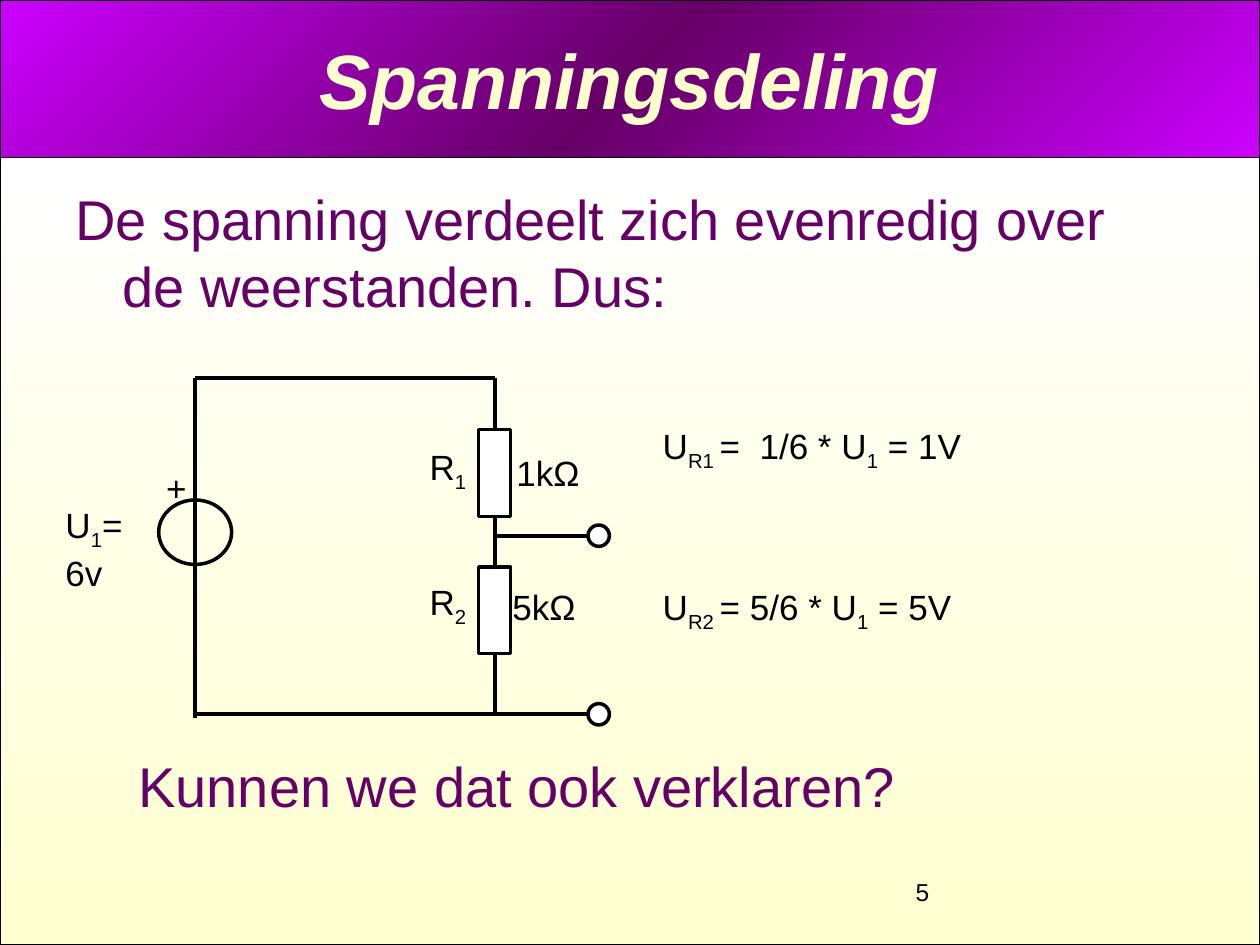
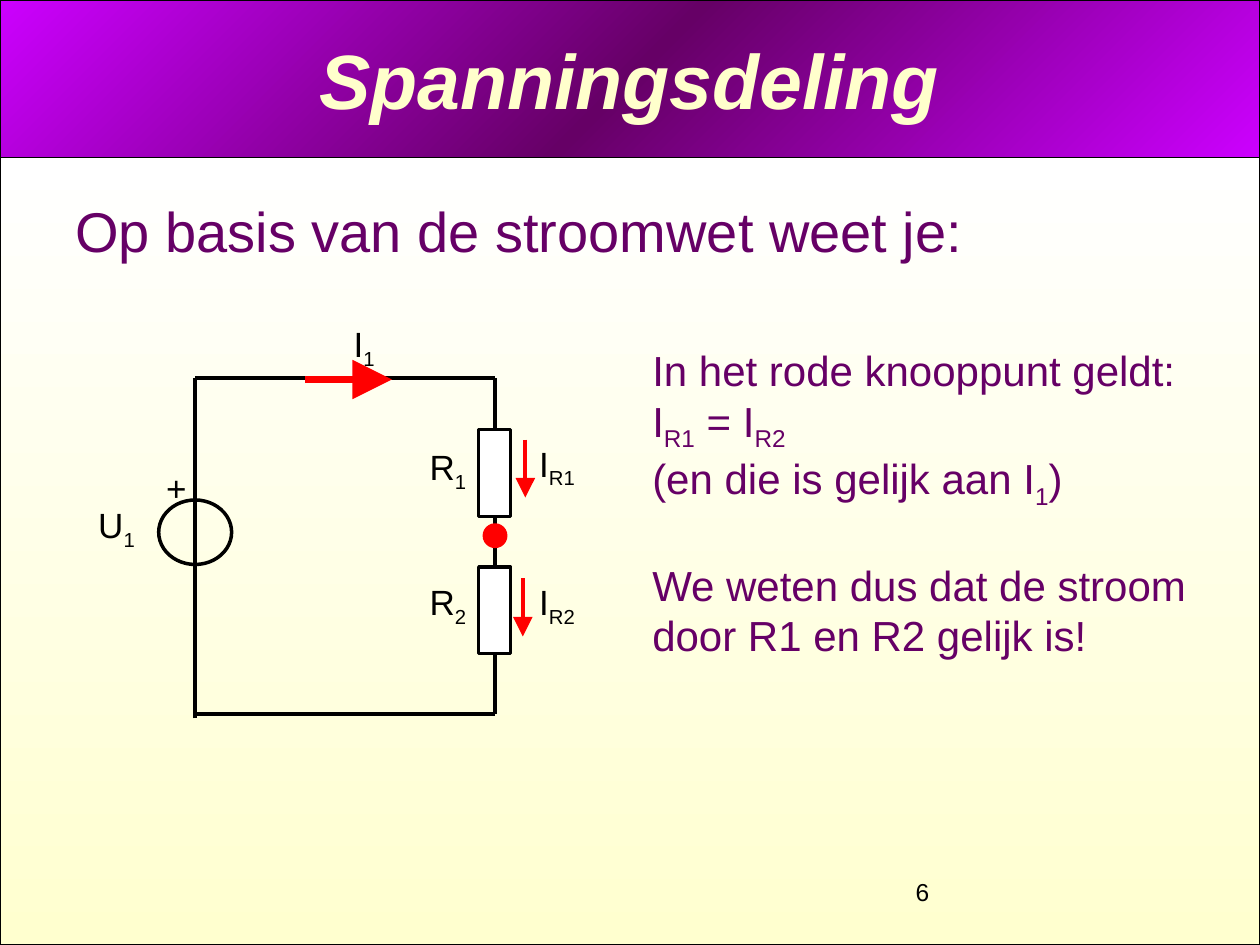
from copy import deepcopy

from lxml import etree
from pptx import Presentation
from pptx.dml.color import RGBColor
from pptx.enum.shapes import MSO_CONNECTOR, MSO_SHAPE
from pptx.enum.text import MSO_ANCHOR, MSO_AUTO_SIZE, PP_ALIGN
from pptx.oxml.ns import qn
from pptx.util import Cm, Pt

BLACK = RGBColor(0x00, 0x00, 0x00)
WHITE = RGBColor(0xFF, 0xFF, 0xFF)
RED = RGBColor(0xFF, 0x00, 0x00)
PURPLE = RGBColor(0x66, 0x00, 0x66)
VIOLET = RGBColor(0xCC, 0x00, 0xFF)
CREAM = RGBColor(0xFF, 0xFF, 0xCC)
PALE_CREAM = RGBColor(0xFF, 0xFF, 0xCF)

FONT = "Arial"
SLIDE_WIDTH, SLIDE_HEIGHT, BAND_HEIGHT = 25.4, 19.05, 3.18
MARGIN, TEXT_WIDTH = 1.27, 22.86

# Circuit geometry in centimetres
LEFT_WIRE, RIGHT_WIRE = 3.94, 9.98
TOP_WIRE, NODE, BOTTOM_WIRE = 7.62, 10.8, 14.4
RESISTOR_TOPS = (8.66, 11.43)
LABEL_TOPS = (8.86, 11.58)
DOT = 0.43


class Deck:
    """Holds the style and the current slide."""

    def __init__(self):
        self.presentation = Presentation()
        self.presentation.slide_width = Cm(SLIDE_WIDTH)
        self.presentation.slide_height = Cm(SLIDE_HEIGHT)
        self.slide = None

    def new_slide(self, title, number):
        layout = self.presentation.slide_layouts[6]
        self.slide = self.presentation.slides.add_slide(layout)
        self.gradient_panel(0, BAND_HEIGHT, (VIOLET, PURPLE, VIOLET), 315)
        self.gradient_panel(BAND_HEIGHT, SLIDE_HEIGHT - BAND_HEIGHT,
                            (WHITE, PALE_CREAM), 270)
        frame = self.text(MARGIN, 0, TEXT_WIDTH, BAND_HEIGHT, [(title,)],
                          size=44, color=CREAM)
        frame.vertical_anchor = MSO_ANCHOR.MIDDLE
        frame.paragraphs[0].alignment = PP_ALIGN.CENTER
        font = frame.paragraphs[0].runs[0].font
        font.bold = font.italic = True
        self.text(18.21, 17.55, 5.92, 0.86, [(str(number),)], size=14)

    def shape(self, kind, left, top, width, height, fill=None,
              line=BLACK, weight=2):
        shape = self.slide.shapes.add_shape(
            kind, Cm(left), Cm(top), Cm(width), Cm(height))
        shape.shadow.inherit = False
        if fill is None:
            shape.fill.background()
        else:
            shape.fill.solid()
            shape.fill.fore_color.rgb = fill
        shape.line.color.rgb = line
        shape.line.width = Pt(weight)
        return shape

    def gradient_panel(self, top, height, colors, angle):
        panel = self.shape(MSO_SHAPE.RECTANGLE, 0, top, SLIDE_WIDTH, height,
                           weight=0.75)
        panel.fill.gradient()
        panel.fill.gradient_angle = angle
        stop_list = panel._element.spPr.find(".//" + qn("a:gsLst"))
        for _ in colors[2:]:
            stop_list.append(deepcopy(stop_list[0]))
        for index, (stop, color) in enumerate(
                zip(panel.fill.gradient_stops, colors)):
            stop.color.rgb = color
            stop.position = index / (len(colors) - 1)

    def dot(self, x, y, fill, line=BLACK):
        self.shape(MSO_SHAPE.OVAL, x - DOT / 2, y - DOT / 2, DOT, DOT,
                   fill, line)

    def line(self, x1, y1, x2, y2, color=BLACK, weight=2.25, arrow=False):
        connector = self.slide.shapes.add_connector(
            MSO_CONNECTOR.STRAIGHT, Cm(x1), Cm(y1), Cm(x2), Cm(y2))
        connector.line.color.rgb = color
        connector.line.width = Pt(weight)
        properties = connector._element.spPr
        if arrow:
            etree.SubElement(properties.find(qn("a:ln")), qn("a:tailEnd"),
                             type="triangle", w="lg", len="lg")
        etree.SubElement(properties, qn("a:effectLst"))

    def arrow(self, x1, y1, x2, y2, weight=2.25):
        self.line(x1, y1, x2, y2, RED, weight, arrow=True)

    def text(self, left, top, width, height, paragraphs, size=20,
             color=BLACK, wrap=True):
        """Each paragraph is a tuple of alternating normal and subscript runs."""
        box = self.slide.shapes.add_textbox(
            Cm(left), Cm(top), Cm(width), Cm(height))
        frame = box.text_frame
        frame.word_wrap = wrap
        for index, pieces in enumerate(paragraphs):
            paragraph = (frame.add_paragraph() if index
                         else frame.paragraphs[0])
            for position, piece in enumerate(pieces):
                run = paragraph.add_run()
                run.text = piece
                run.font.name = FONT
                run.font.size = Pt(size)
                run.font.color.rgb = color
                if position % 2:
                    run._r.get_or_add_rPr().set("baseline", "-25000")
        return frame

    def label(self, left, top, width, *pieces):
        height = 1.22 if len(pieces) > 1 else 1.12
        frame = self.text(left, top, width, height, [pieces], wrap=False)
        frame.auto_size = MSO_AUTO_SIZE.SHAPE_TO_FIT_TEXT

    def statement(self, left, top, height, words):
        frame = self.text(left, top, TEXT_WIDTH, height, [(words,)],
                          size=32, color=PURPLE)
        paragraph = frame.paragraphs[0]
        paragraph.space_before = Pt(8)
        properties = paragraph._p.get_or_add_pPr()
        properties.set("marL", str(Cm(0.95)))
        properties.set("indent", str(-Cm(0.95)))

    def circuit(self):
        """Voltage source with two resistors in series."""
        self.line(RIGHT_WIRE, TOP_WIRE, RIGHT_WIRE, BOTTOM_WIRE)
        for number, (top, label_top) in enumerate(
                zip(RESISTOR_TOPS, LABEL_TOPS), start=1):
            self.shape(MSO_SHAPE.RECTANGLE, 9.65, top, 0.64, 1.75, WHITE)
            self.label(8.41, label_top, 1.24, "R", str(number))
        for y in (TOP_WIRE, BOTTOM_WIRE):
            self.line(LEFT_WIRE, y, RIGHT_WIRE, y)
        self.line(LEFT_WIRE, 14.48, LEFT_WIRE, TOP_WIRE)
        self.shape(MSO_SHAPE.OVAL, 3.2, 10.08, 1.47, 1.3)
        self.label(3.1, 9.27, 0.91, "+")


def voltage_slide(deck):
    deck.new_slide("Spanningsdeling", 5)
    deck.statement(MARGIN, 3.6, 3.18, "De spanning verdeelt zich evenredig "
                   "over de weerstanden. Dus:")
    deck.circuit()
    deck.text(1.07, 10.03, 1.93, 2.08, [("U", "1", "= 6v")])
    deck.label(10.16, 8.97, 1.8, "1kΩ")
    deck.label(10.08, 11.68, 1.8, "5kΩ")

    # Output terminals
    for y in (NODE, BOTTOM_WIRE):
        deck.line(RIGHT_WIRE, y, 12.07, y)
        deck.dot(12.07, y, WHITE)

    # Voltage across each resistor
    deck.label(13.11, 8.43, 6.53, "U", "R1 ", "=  1/6 * U", "1", " = 1V")
    deck.label(13.11, 11.68, 6.32, "U", "R2 ", "= 5/6 * U", "1", " = 5V")
    deck.statement(2.54, 15.03, 3.18, "Kunnen we dat ook verklaren?")


def current_slide(deck):
    deck.new_slide("Spanningsdeling", 6)
    deck.statement(MARGIN, 3.83, 1.68, "Op basis van de stroomwet weet je:")
    deck.circuit()
    deck.label(1.73, 10.03, 1.24, "U", "1")

    # Explanation
    frame = deck.text(12.9, 6.83, 12.07, 7.65, [
        ("In het rode knooppunt geldt:",),
        ("I", "R1", " = I", "R2"),
        ("(en die is gelijk aan I", "1", ")"),
        ("We weten dus dat de stroom door R1 en R2 gelijk is!",),
    ], size=24, color=PURPLE)
    frame.paragraphs[-1].space_before = Pt(28)

    # Node and currents
    deck.dot(RIGHT_WIRE, NODE, RED, RED)
    deck.arrow(6.15, 7.65, 7.9, 7.65, weight=4.5)
    deck.label(6.88, 6.38, 1.1, "I", "1")
    deck.arrow(10.59, 8.86, 10.59, 10.03)
    deck.arrow(10.54, 11.66, 10.54, 12.83)
    deck.label(10.62, 8.79, 1.3, "I", "R1")
    deck.label(10.62, 11.58, 1.3, "I", "R2")


def main():
    deck = Deck()
    voltage_slide(deck)
    current_slide(deck)
    deck.presentation.save("out.pptx")


if __name__ == "__main__":
    main()
